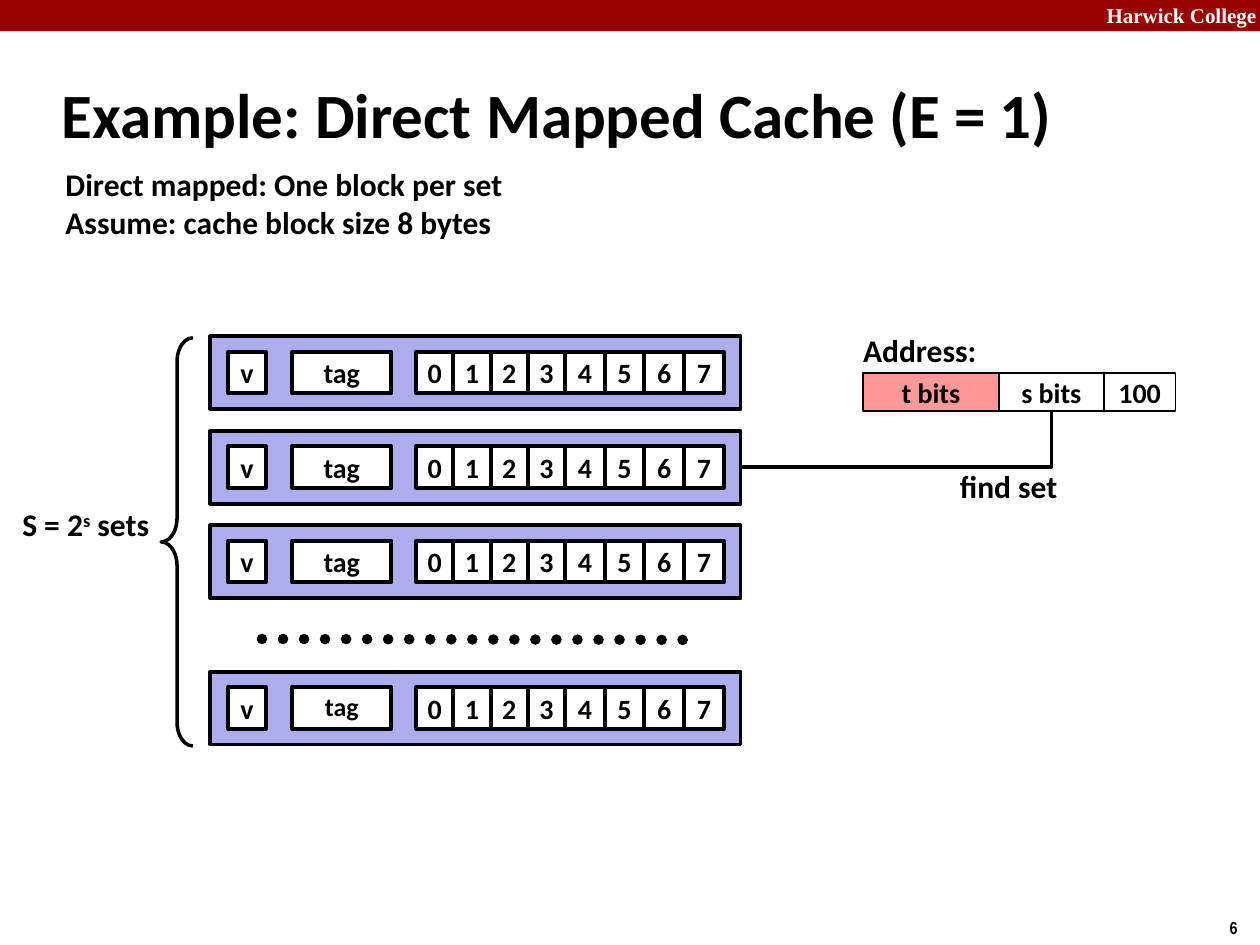
from itertools import accumulate

from pptx import Presentation
from pptx.dml.color import RGBColor
from pptx.enum.dml import MSO_LINE
from pptx.enum.shapes import MSO_CONNECTOR as CONN, MSO_SHAPE as SHAPE
from pptx.enum.text import MSO_ANCHOR as ANCHOR, MSO_AUTO_SIZE as AUTO, PP_ALIGN as ALIGN
from pptx.oxml.ns import qn
from pptx.util import Cm, Pt

COLORS = {
    "black": "000000",
    "white": "FFFFFF",
    "banner": "990000",
    "set": "ADADEB",
    "tag": "FF9999",
}


def rgb(name):
    return RGBColor.from_string(COLORS[name])


def write(tf, text, size=18, font="Calibri", color="black", align=ALIGN.LEFT, spacing=None):
    """Fill a text frame; newlines part paragraphs, ^...^ marks a superscript."""
    for i, line in enumerate(text.split("\n")):
        p = tf.paragraphs[0] if i == 0 else tf.add_paragraph()
        p.alignment = align
        if spacing:
            p.line_spacing = spacing
        for j, part in enumerate(line.split("^")):
            r = p.add_run()
            r.text = part
            r.font.size, r.font.name, r.font.bold = Pt(size), font, True
            r.font.color.rgb = rgb(color)
            if j % 2:
                r._r.get_or_add_rPr().set("baseline", "30000")


def add_label(s, box, text, wrap=False, **fmt):
    tf = s.shapes.add_textbox(*map(Cm, box)).text_frame
    tf.word_wrap = wrap
    tf.auto_size = AUTO.SHAPE_TO_FIT_TEXT
    write(tf, text, **fmt)


def add_box(s, box, fill=None, line=None, text=None, kind=SHAPE.RECTANGLE, wrap=False, **fmt):
    sp = s.shapes.add_shape(kind, *map(Cm, box))
    sp.shadow.inherit = False
    if fill:
        sp.fill.solid()
        sp.fill.fore_color.rgb = rgb(fill)
    else:
        sp.fill.background()
    if line:
        sp.line.width = Pt(line)
        sp.line.color.rgb = rgb("black")
    else:
        sp.line.fill.background()
    if text:
        tf = sp.text_frame
        tf.word_wrap = wrap
        tf.vertical_anchor = ANCHOR.MIDDLE
        write(tf, text, align=ALIGN.CENTER, **{"size": 16, **fmt})
    return sp


def add_line(s, kind, ends, width):
    c = s.shapes.add_connector(kind, *map(Cm, ends))
    c.line.width = Pt(width)
    c.line.color.rgb = rgb("black")
    sppr = c._element.spPr
    sppr.append(sppr.makeelement(qn("a:effectLst"), {}))
    return c


def add_frame(s, width):
    # Banner with the school name, and the page number
    add_box(s, (0, 0, width, 0.63), fill="banner")
    add_label(s, (21.95, -0.08, 3.63, 0.77), "Harwick College", wrap=True,
              size=12, font="Times New Roman", color="white", align=ALIGN.RIGHT)
    add_label(s, (24.54, 18.36, 0.86, 0.69), "6", size=10, font="Arial Narrow")


def add_heading(s, x, y):
    # Title placeholder and the two assumptions below it
    title = s.shapes.title
    title.left, title.top, title.width, title.height = map(Cm, (x, y, 21.08, 2.11))
    tf = title.text_frame
    tf.auto_size = AUTO.NONE
    tf.vertical_anchor = ANCHOR.MIDDLE
    write(tf, "Example: Direct Mapped Cache (E = 1)", size=36)
    ppr = tf.paragraphs[0]._p.get_or_add_pPr()
    ppr.set("marL", str(Cm(0.33)))
    ppr.set("indent", str(-Cm(0.33)))
    add_label(s, (x + 0.08, y + 1.98, 9.42, 1.8),
              "Direct mapped: One block per set\nAssume: cache block size 8 bytes")


def add_set(s, x, y, **tag_fmt):
    # One cache set: valid bit, tag and eight block bytes
    frame = add_box(s, (x, y, 10.69, 1.47), fill="set", line=2.25)
    widths = [0.75] * 4 + [0.8] * 4
    starts = accumulate(widths[:-1], initial=4.15)
    cells = [("v", 0.36, 0.76, {}), ("tag", 1.65, 2, tag_fmt)]
    cells += [(str(i), dx, w, {}) for i, (dx, w) in enumerate(zip(starts, widths))]
    for text, dx, w, fmt in cells:
        add_box(s, (x + dx, y + 0.31, w, 0.84), fill="white", line=2.25, text=text, **fmt)
    return frame


def add_cache(s, x, y):
    # Brace over all the sets, three sets, dots and the last set
    brace = add_box(s, (x - 0.99, y + 0.03, 0.64, 8.23), line=2, kind=SHAPE.LEFT_BRACE)
    brace.adjustments[0], brace.adjustments[1] = 0.75, 0.5
    add_label(s, (x - 4.04, y + 3.28, 3.12, 1.02), "S = 2^s^ sets")
    frames = [add_set(s, x, y + 1.905 * i) for i in range(3)]
    dots = add_line(s, CONN.STRAIGHT, (x + 1.04, y + 6.1, x + 9.73, y + 6.12), 6)
    dots.line.dash_style = MSO_LINE.ROUND_DOT
    dots.line._get_or_add_ln().set("cap", "rnd")
    add_set(s, x, y + 6.76, size=14.8, spacing=0.9)
    return frames


def add_address(s, x, y):
    # Address split into its bit fields
    add_label(s, (x - 0.25, y - 0.97, 2.82, 1.02), "Address:")
    fields = []
    for text, w, fill in (("t bits", 2.74, "tag"), ("s bits", 2.11, "white"),
                          ("100", 1.45, "white")):
        fields.append(add_box(s, (x, y, w, 0.76), fill=fill, line=1, text=text, wrap=True))
        x += w
    return fields


def add_lookup(s, field, frame):
    # Elbow from the set index field down and left to the selected set
    c = add_line(s, CONN.ELBOW, (0, 0, 1, 1), 2)
    c.begin_connect(field, 2)
    c.end_connect(frame, 3)
    x1, y1 = field.left + field.width // 2, field.top + field.height
    x2, y2 = frame.left + frame.width, frame.top + frame.height // 2
    w, h = y2 - y1, x1 - x2  # swapped, as the elbow is turned by 90 degrees
    sppr = c._element.spPr
    xfrm = sppr.find(qn("a:xfrm"))
    for flip in ("flipH", "flipV"):
        xfrm.attrib.pop(flip, None)
    xfrm.set("rot", "5400000")
    sppr.find(qn("a:prstGeom")).set("prst", "bentConnector2")
    c.left, c.top = (x1 + x2 - w) // 2, (y1 + y2 - h) // 2
    c.width, c.height = w, h
    add_label(s, (19.1, 9.3, 2.49, 1.02), "find set")


def main():
    prs = Presentation()
    prs.slide_width, prs.slide_height = Cm(25.4), Cm(19.05)
    s = prs.slides.add_slide(prs.slide_layouts[5])
    add_frame(s, 25.4)
    add_heading(s, 0.99, 1.22)
    sets = add_cache(s, 4.24, 6.78)
    fields = add_address(s, 17.4, 7.52)
    add_lookup(s, fields[1], sets[1])
    prs.save("out.pptx")


if __name__ == "__main__":
    main()
